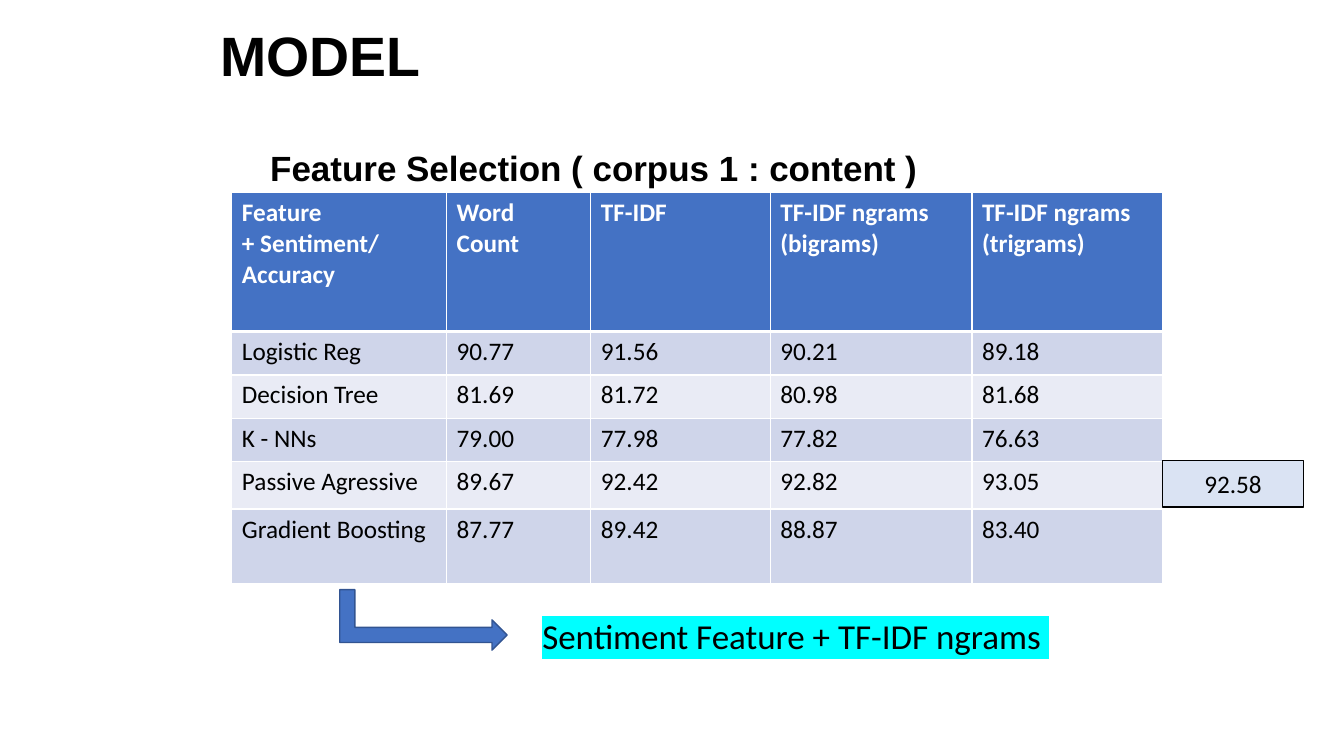
"""Build the slide comparing model accuracy by text feature."""
from lxml import etree
from pptx import Presentation
from pptx.dml.color import RGBColor
from pptx.enum.shapes import MSO_SHAPE
from pptx.enum.text import MSO_ANCHOR, PP_ALIGN
from pptx.oxml.ns import qn
from pptx.util import Pt

PX = 9144
RECTANGLE = MSO_SHAPE.RECTANGLE
BENT_ARROW = MSO_SHAPE.BENT_UP_ARROW
TOP, MIDDLE = MSO_ANCHOR.TOP, MSO_ANCHOR.MIDDLE
LEFT, CENTER = PP_ALIGN.LEFT, PP_ALIGN.CENTER
COLORS = {
    "black": "000000",
    "white": "FFFFFF",
    "blue": "4472C4",
    "outline": "325491",
    "odd": "CFD5EA",
    "even": "E9EBF5",
    "pale": "DAE3F3",
    "cyan": "00FFFF",
}
COLUMN_WIDTHS = [213, 143, 178, 200, 189]
ROW_HEIGHTS = [138, 43, 43, 43, 47, 74]
ACCURACY = [
    ["Feature\n+ Sentiment/\nAccuracy", "Word Count", "TF-IDF",
     "TF-IDF ngrams (bigrams)", "TF-IDF ngrams (trigrams)"],
    ["Logistic Reg", "90.77", "91.56", "90.21", "89.18"],
    ["Decision Tree", "81.69", "81.72", "80.98", "81.68"],
    ["K - NNs", "79.00", "77.98", "77.82", "76.63"],
    ["Passive Agressive", "89.67", "92.42", "92.82", "93.05"],
    ["Gradient Boosting", "87.77", "89.42", "88.87", "83.40"],
]


def rgb(name):
    return RGBColor.from_string(COLORS[name])


def box(*lengths):
    return [length * PX for length in lengths]


class SlideBuilder:
    def __init__(self, slide):
        self.shapes = slide.shapes

    def fill_text(self, frame, text, size, color="black", font="Calibri",
                  bold=False, align=LEFT):
        frame.text = text
        for paragraph in frame.paragraphs:
            paragraph.alignment = align
            for run in paragraph.runs:
                run.font.size = Pt(size)
                run.font.name = font
                run.font.bold = bold
                run.font.color.rgb = rgb(color)

    def text(self, bounds, text, size, anchor=TOP, inset=10, **style):
        frame = self.shapes.add_textbox(*box(*bounds)).text_frame
        frame.word_wrap = True
        frame.vertical_anchor = anchor
        frame.margin_left = inset * PX
        self.fill_text(frame, text, size, **style)
        return frame.paragraphs[0]

    def heading(self, bounds, text, size, before=0, **style):
        paragraph = self.text(bounds, text, size, font="Arial", bold=True, **style)
        paragraph.line_spacing = 0.9
        paragraph.space_before = Pt(before)

    def highlighted(self, bounds, text, size, color):
        run = self.text(bounds, text, size).runs[0]
        highlight = etree.Element(qn("a:highlight"))
        etree.SubElement(highlight, qn("a:srgbClr"), val=COLORS[color])
        run.font._element.find(qn("a:solidFill")).addnext(highlight)

    def shape(self, kind, bounds, fill, line, rotation=0):
        shape = self.shapes.add_shape(kind, *box(*bounds))
        shape.shadow.inherit = False
        shape.fill.solid()
        shape.fill.fore_color.rgb = rgb(fill)
        shape.line.color.rgb = rgb(line)
        shape.line.width = Pt(1)
        shape.rotation = rotation
        return shape

    def label(self, bounds, text, size, fill, line):
        frame = self.shape(RECTANGLE, bounds, fill, line).text_frame
        frame.vertical_anchor = MIDDLE
        self.fill_text(frame, text, size, align=CENTER)

    def borders(self, cell, bottom):
        properties = cell._tc.get_or_add_tcPr()
        widths = {"a:lnL": 1, "a:lnR": 1, "a:lnT": 1, "a:lnB": bottom}
        for position, (side, width) in enumerate(widths.items()):
            line = etree.Element(qn(side), w=str(Pt(width)))
            fill = etree.SubElement(line, qn("a:solidFill"))
            etree.SubElement(fill, qn("a:srgbClr"), val=COLORS["white"])
            properties.insert(position, line)

    def table(self, left, top, rows, widths, heights, size):
        bounds = box(left, top, sum(widths), sum(heights))
        table = self.shapes.add_table(len(rows), len(widths), *bounds).table
        for column, width in zip(table.columns, widths):
            column.width = width * PX
        for index, (row, height) in enumerate(zip(table.rows, heights)):
            row.height = height * PX
            header = index == 0
            fill = "blue" if header else ("even", "odd")[index % 2]
            for cell, text in zip(row.cells, rows[index]):
                cell.fill.solid()
                cell.fill.fore_color.rgb = rgb(fill)
                self.fill_text(cell.text_frame, text, size,
                               color="white" if header else "black", bold=header)
                self.borders(cell, bottom=3 if header else 1)


def main():
    deck = Presentation()
    deck.slide_width, deck.slide_height = box(1333, 750)
    builder = SlideBuilder(deck.slides.add_slide(deck.slide_layouts[6]))
    builder.heading((209, 21, 1091, 75), "MODEL", 39.6, anchor=MIDDLE)
    builder.heading((158, 145, 1142, 518),
                    "Feature Selection ( corpus 1 : content )", 25,
                    before=10, inset=110)
    builder.table(230, 191, ACCURACY, COLUMN_WIDTHS, ROW_HEIGHTS, 18)
    builder.label((1153, 457, 140, 46), "92.58", 18, "pale", "black")
    builder.shape(BENT_ARROW, (390, 532, 60, 166), "blue", "outline", rotation=90)
    builder.highlighted((528, 605, 529, 52),
                        "Sentiment Feature + TF-IDF ngrams ", 25, "cyan")
    deck.save("out.pptx")


if __name__ == "__main__":
    main()
